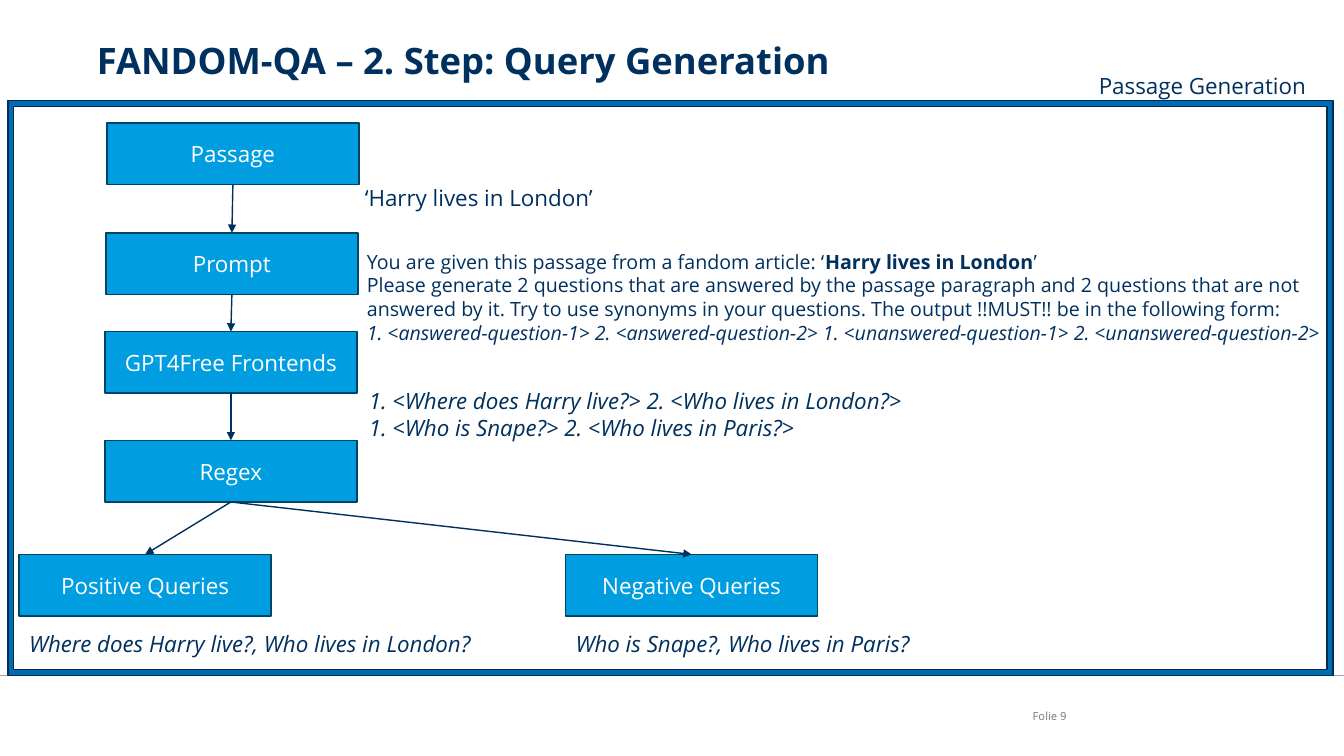
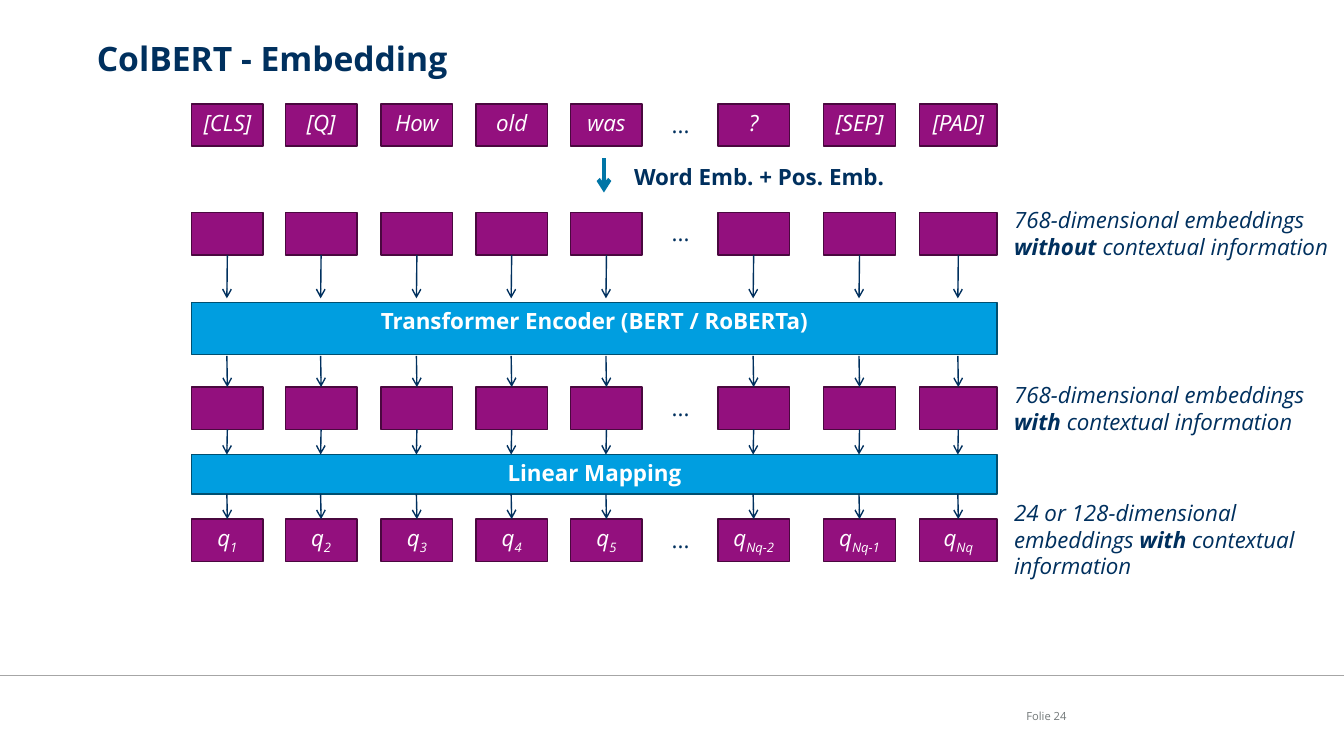
from dataclasses import dataclass
from typing import Optional, Sequence, Union

from lxml import etree
from pptx import Presentation
from pptx import util as u
from pptx.dml.color import RGBColor
from pptx.enum import shapes, text
from pptx.oxml import ns
from pptx.shapes.autoshape import Shape
from pptx.slide import Slide

EMU_PER_PX = 9144
TITLE_ONLY = 5
TOP_SIDE, BOTTOM_SIDE = 0, 2
RECT = shapes.MSO_SHAPE.RECTANGLE
LEFT, CENTER, RIGHT = text.PP_ALIGN.LEFT, text.PP_ALIGN.CENTER, text.PP_ALIGN.RIGHT
TOP, MIDDLE = text.MSO_ANCHOR.TOP, text.MSO_ANCHOR.MIDDLE


def rgb(value: str) -> RGBColor:
    return RGBColor.from_string(value)


@dataclass(frozen=True)
class Theme:
    font: str = "Open Sans"
    ink: RGBColor = rgb("00305E")
    white: RGBColor = rgb("FFFFFF")
    muted: RGBColor = rgb("727879")
    rule: RGBColor = rgb("A6A6A6")
    blue: RGBColor = rgb("009EE0")
    node_edge: RGBColor = rgb("004562")
    band_edge: RGBColor = rgb("004F70")
    frame: RGBColor = rgb("006AB3")
    frame_edge: RGBColor = rgb("002E4E")
    purple: RGBColor = rgb("93107E")
    purple_edge: RGBColor = rgb("4A083F")
    step: RGBColor = rgb("0075A6")
    body: int = 16
    prompt: int = 14
    footer: int = 8


THEME = Theme()


@dataclass(frozen=True)
class Box:
    left: int
    top: int
    width: int
    height: int


@dataclass(frozen=True)
class Span:
    words: str
    bold: bool = False
    subscript: bool = False


@dataclass(frozen=True)
class Para:
    spans: Sequence[Span]
    bold: bool = False
    italic: bool = False


@dataclass(frozen=True)
class Style:
    size: int = THEME.body
    color: RGBColor = THEME.ink
    align: text.PP_ALIGN = LEFT
    anchor: text.MSO_ANCHOR = TOP


@dataclass(frozen=True)
class Look:
    fill: RGBColor
    edge: RGBColor
    kind: shapes.MSO_SHAPE = RECT


@dataclass(frozen=True)
class Point:
    x: int
    y: int


@dataclass(frozen=True)
class Joint:
    shape: Shape
    side: int


@dataclass(frozen=True)
class TokenRow:
    top: int
    labels: Sequence[Optional[Para]]
    arrow_from: Optional[int] = None
    arrow_to: Optional[int] = None


@dataclass(frozen=True)
class Note:
    box: Box
    paras: Sequence[Para]
    size: int = THEME.body


End = Union[Point, Joint]
NODE = Look(THEME.blue, THEME.node_edge)
BAND = Look(THEME.blue, THEME.band_edge)
TOKEN = Look(THEME.purple, THEME.purple_edge)
FRAME = Look(THEME.frame, THEME.frame_edge, shapes.MSO_SHAPE.FRAME)
NODE_TEXT = Style(color=THEME.white, align=CENTER, anchor=MIDDLE)
TOP_TEXT = Style(color=THEME.white, align=CENTER)


def px(value: int) -> u.Emu:
    return u.Emu(value * EMU_PER_PX)


def plain(words: str, bold: bool = False, italic: bool = False) -> Para:
    return Para([Span(words)], bold, italic)


def write(shape: Shape, paras: Sequence[Para], style: Style) -> None:
    frame = shape.text_frame
    frame.word_wrap = True
    frame.auto_size = text.MSO_AUTO_SIZE.NONE
    frame.vertical_anchor = style.anchor
    for index, para in enumerate(paras):
        paragraph = frame.add_paragraph() if index else frame.paragraphs[0]
        paragraph.alignment = style.align
        font = paragraph.font
        font.name, font.size = THEME.font, u.Pt(style.size)
        font.color.rgb = style.color
        font.bold, font.italic = para.bold, para.italic
        for span in para.spans:
            run = paragraph.add_run()
            run.text = span.words
            if span.bold:
                run.font.bold = True
            if span.subscript:
                run._r.get_or_add_rPr().set("baseline", "-25000")


def clear_insets(shape: Shape) -> None:
    frame = shape.text_frame
    frame.margin_left = frame.margin_right = frame.margin_top = frame.margin_bottom = 0


def bounds(box: Box) -> tuple:
    return px(box.left), px(box.top), px(box.width), px(box.height)


def add_text(page: Slide, box: Box, paras: Sequence[Para], style: Style = Style()) -> Shape:
    shape = page.shapes.add_textbox(*bounds(box))
    write(shape, paras, style)
    return shape


def add_block(page: Slide, box: Box, look: Look,
              label: Optional[Para] = None, style: Style = NODE_TEXT) -> Shape:
    shape = page.shapes.add_shape(look.kind, *bounds(box))
    shape.shadow.inherit = False
    shape.fill.solid()
    shape.fill.fore_color.rgb = look.fill
    shape.line.color.rgb = look.edge
    shape.line.width = u.Pt(1)
    if label:
        write(shape, [label], style)
    return shape


def add_line(page: Slide, start: End, end: End, color: RGBColor = THEME.ink,
             width: int = 1, head: Optional[str] = None) -> None:
    spots = [spot if isinstance(spot, Point) else Point(0, 0) for spot in (start, end)]
    places = [px(value) for spot in spots for value in (spot.x, spot.y)]
    line = page.shapes.add_connector(shapes.MSO_CONNECTOR.STRAIGHT, *places)
    if isinstance(start, Joint):
        line.begin_connect(start.shape, start.side)
    if isinstance(end, Joint):
        line.end_connect(end.shape, end.side)
    line.line.color.rgb = color
    line.line.width = u.Pt(width)
    properties = line._element.spPr
    if head:
        etree.SubElement(properties.find(ns.qn("a:ln")), ns.qn("a:tailEnd"), type=head)
    etree.SubElement(properties, ns.qn("a:effectLst"))


def add_page(deck, title: str, title_size: int, number: int) -> Slide:
    page = deck.slides.add_slide(deck.slide_layouts[TITLE_ONLY])
    heading = page.shapes.title
    heading.left, heading.top, heading.width, heading.height = bounds(Box(96, 38, 1157, 75))
    write(heading, [plain(title, bold=True)], Style(size=title_size))
    clear_insets(heading)
    add_line(page, Point(0, 670), Point(1333, 670), THEME.rule)
    footer = add_text(page, Box(981, 703, 77, 15), [plain(f"Folie {number}")],
                      Style(THEME.footer, THEME.muted, RIGHT, MIDDLE))
    clear_insets(footer)
    return page


def build_query_generation(deck) -> None:
    page = add_page(deck, "FANDOM-QA – 2. Step: Query Generation", 26, 9)
    places = {
        "Passage": (106, 122),
        "Prompt": (105, 231),
        "GPT4Free Frontends": (104, 329),
        "Regex": (104, 437),
        "Positive Queries": (19, 550),
        "Negative Queries": (561, 550),
    }
    nodes = [add_block(page, Box(left, top, 250, 61), NODE, plain(name))
             for name, (left, top) in places.items()]
    passage, prompt, frontends, regex, positive, negative = nodes
    flow = [(passage, prompt), (prompt, frontends), (frontends, regex),
            (regex, positive), (regex, negative)]
    for source, target in flow:
        add_line(page, Joint(source, BOTTOM_SIDE), Joint(target, TOP_SIDE), head="triangle")

    instructions = [
        Para([Span("You are given this passage from a fandom article: ‘"),
              Span("Harry lives in London", bold=True), Span("’")]),
        plain("Please generate 2 questions that are answered by the passage paragraph and "
              "2 questions that are not answered by it. Try to use synonyms in your questions. "
              "The output !!MUST!! be in the following form:"),
        plain("1. <answered-question-1> 2. <answered-question-2> "
              "1. <unanswered-question-1> 2. <unanswered-question-2>", italic=True),
    ]
    answers = [plain("1. <Where does Harry live?> 2. <Who lives in London?>", italic=True),
               plain("1. <Who is Snape?> 2. <Who lives in Paris?>", italic=True)]
    notes = [
        Note(Box(352, 178, 260, 37), [plain("‘Harry lives in London’")]),
        Note(Box(354, 243, 979, 104), instructions, THEME.prompt),
        Note(Box(356, 379, 570, 64), answers),
        Note(Box(19, 620, 480, 37),
             [plain("Where does Harry live?, Who lives in London?", italic=True)]),
        Note(Box(561, 620, 496, 37),
             [plain("Who is Snape?, Who lives in Paris?", italic=True)]),
        Note(Box(1080, 67, 240, 37), [plain("Passage Generation")]),
    ]
    frame = add_block(page, Box(8, 100, 1314, 570), FRAME)
    frame.adjustments[0] = 0.01
    for note in notes:
        add_text(page, note.box, note.paras, Style(size=note.size))


def add_token_row(page: Slide, row: TokenRow) -> None:
    lefts = [190, 283, 378, 472, 566, 712, 817, 912]
    widths = [71] * 7 + [77]
    for left, width, label in zip(lefts, widths, row.labels):
        token = add_block(page, Box(left, row.top, width, 42), TOKEN, label, TOP_TEXT)
        middle = left + width // 2
        if row.arrow_from is not None:
            add_line(page, Point(middle, row.arrow_from), Joint(token, TOP_SIDE), head="arrow")
        if row.arrow_to is not None:
            add_line(page, Joint(token, BOTTOM_SIDE), Point(middle, row.arrow_to), head="arrow")
    add_text(page, Box(637, row.top + 2, 76, 37), [plain("...")], Style(align=CENTER))


def build_embedding(deck) -> None:
    page = add_page(deck, "ColBERT - Embedding", 24, 24)
    words = ["[CLS]", "[Q]", "How", "old", "was", "?", "[SEP]", "[PAD]"]
    indices = ["1", "2", "3", "4", "5", "Nq-2", "Nq-1", "Nq"]
    blank = [None] * len(words)
    outputs = [Para([Span("q"), Span(index, subscript=True)], italic=True) for index in indices]

    bands = {"Transformer Encoder (BERT / RoBERTa)": (300, 52), "Linear Mapping": (451, 39)}
    for name, (top, height) in bands.items():
        add_block(page, Box(190, top, 799, height), BAND, plain(name, bold=True), TOP_TEXT)

    rows = [
        TokenRow(103, [plain(word, italic=True) for word in words]),
        TokenRow(211, blank, arrow_to=296),
        TokenRow(384, blank, arrow_from=353, arrow_to=451),
        TokenRow(515, outputs, arrow_from=490),
    ]
    for row in rows:
        add_token_row(page, row)

    add_line(page, Point(599, 157), Point(599, 191), THEME.step, 3, "arrow")
    add_text(page, Box(619, 157, 311, 37), [plain("Word Emb. + Pos. Emb.", bold=True)])

    remarks = [
        (200, 63, "768-dimensional embeddings ", "without "),
        (373, 63, "768-dimensional embeddings ", "with "),
        (490, 90, "24 or 128-dimensional embeddings ", "with "),
    ]
    for top, height, size, stress in remarks:
        remark = Para([Span(size), Span(stress, bold=True), Span("contextual information")],
                      italic=True)
        add_text(page, Box(996, top, 337, height), [remark])


def main() -> None:
    deck = Presentation()
    deck.slide_width, deck.slide_height = px(1333), px(750)
    build_query_generation(deck)
    build_embedding(deck)
    deck.save("out.pptx")


if __name__ == "__main__":
    main()
